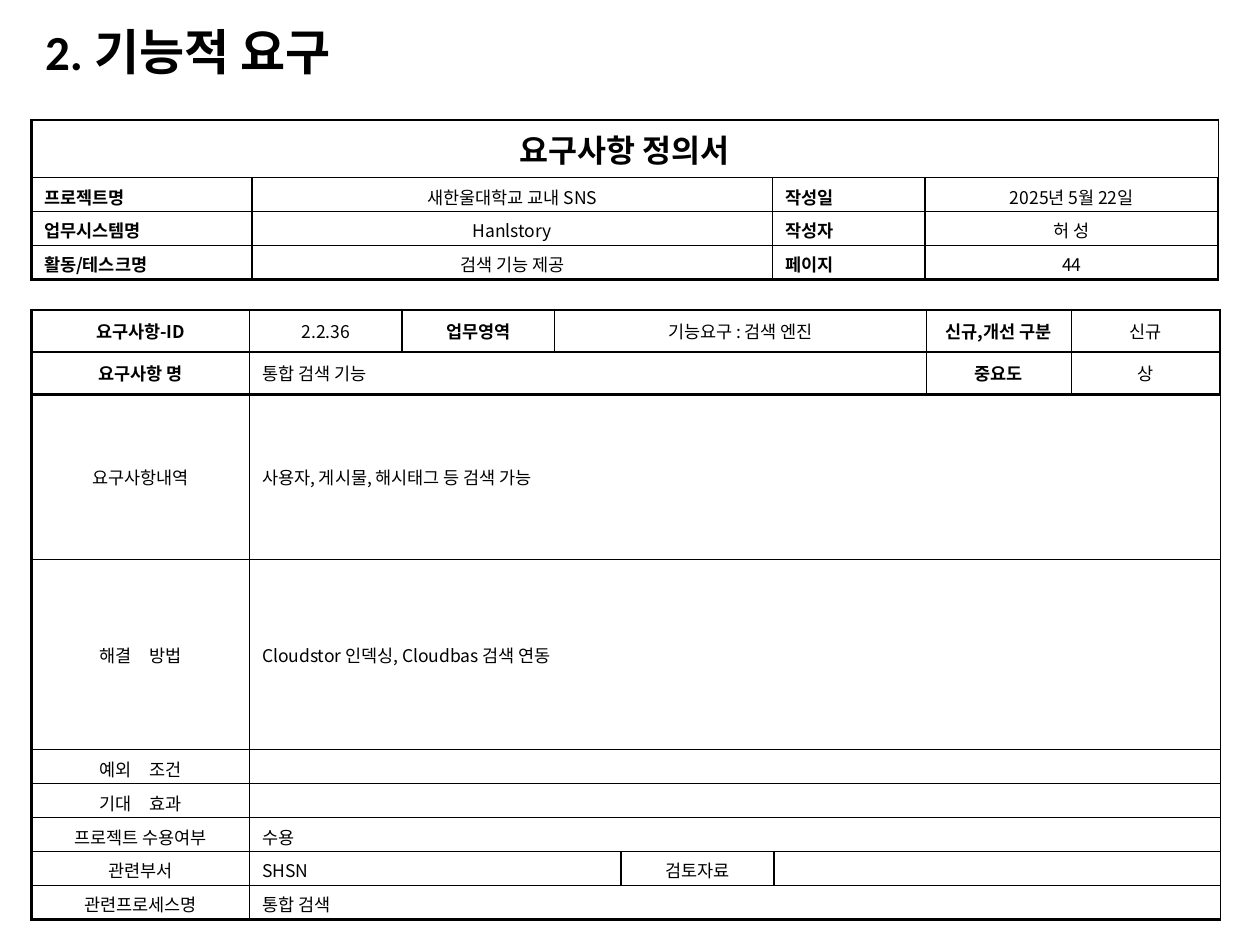
from dataclasses import dataclass

from lxml.etree import SubElement
from pptx import Presentation
from pptx.dml.color import RGBColor
from pptx.enum.text import MSO_ANCHOR, PP_ALIGN
from pptx.oxml.ns import qn
from pptx.util import Pt


@dataclass(frozen=True)
class Theme:
    ink: str = "000000"
    latin: str = "Calibri"
    korean: str = "Noto Sans CJK KR"
    title: float = 28
    heading: float = 18
    body: float = 10
    thick: float = 1.5
    thin: float = 1


THEME = Theme()

# Cell kinds: alignment and bold
KINDS = {
    "head": (PP_ALIGN.CENTER, True),
    "label": (PP_ALIGN.JUSTIFY, True),
    "mid": (PP_ALIGN.CENTER, False),
    "text": (PP_ALIGN.LEFT, False),
}

# Each cell: column span, kind, text
SUMMARY_COLS = [126, 297.5, 87.2, 167.5]
SUMMARY_HEIGHTS = [33.1] + [19.4] * 3
SUMMARY = [[(4, "head", "요구사항 정의서")]] + [
    [(1, "label", a), (1, "mid", b), (1, "label", c), (1, "mid", d)]
    for a, b, c, d in [
        ("프로젝트명", "새한울대학교 교내 SNS", "작성일", "2025년 5월 22일"),
        ("업무시스템명", "Hanlstory", "작성자", "허 성"),
        ("활동/테스크명", "검색 기능 제공", "페이지", "44"),
    ]
]

DETAIL_COLS = [124.6, 87.2, 87.2, 38, 87.2, 87.2, 82.8, 85.2]
DETAIL_HEIGHTS = [24.2, 24.2, 94.3, 108.7] + [19.4] * 5
DETAIL = [
    [(1, "head", "요구사항-ID"), (1, "mid", "2.2.36"), (1, "head", "업무영역"),
     (3, "mid", "기능요구 : 검색 엔진"), (1, "head", "신규,개선 구분"), (1, "mid", "신규")],
    [(1, "head", "요구사항 명"), (5, "text", "통합 검색 기능"),
     (1, "head", "중요도"), (1, "mid", "상")],
    [(1, "mid", "요구사항내역"), (7, "text", "사용자, 게시물, 해시태그 등 검색 가능")],
    [(1, "mid", "해결　방법"), (7, "text", "Cloudstor 인덱싱, Cloudbas 검색 연동")],
    [(1, "mid", "예외　조건"), (7, "text", "")],
    [(1, "mid", "기대　효과"), (7, "text", "")],
    [(1, "mid", "프로젝트 수용여부"), (7, "text", "수용")],
    [(1, "mid", "관련부서"), (3, "text", "SHSN"), (1, "mid", "검토자료"), (3, "text", "")],
    [(1, "mid", "관련프로세스명"), (7, "text", "통합 검색")],
]


def style_paragraph(p, size, bold, align, latin=THEME.korean):
    p.alignment = align
    for r in p.runs:
        r.font.size = Pt(size)
        r.font.bold = bold
        r.font.name = latin
        r.font.color.rgb = RGBColor.from_string(THEME.ink)
        SubElement(r.font._element, qn("a:ea")).set("typeface", THEME.korean)
    if not p.runs:  # keeps an empty row as low as a filled one
        SubElement(p._p, qn("a:endParaRPr")).set("sz", str(size * 100))


def set_borders(cell, widths):
    tc_pr = cell._tc.get_or_add_tcPr()
    for side, width in widths.items():
        ln = SubElement(tc_pr, qn(f"a:ln{side}"), w=str(Pt(width)))
        fill = SubElement(ln, qn("a:solidFill"))
        SubElement(fill, qn("a:srgbClr"), val=THEME.ink)
    cell.fill.background()


def add_title(slide, text):
    s = slide.shapes.add_textbox(Pt(18.7), Pt(15.1), Pt(386), Pt(31.7))
    tf = s.text_frame
    tf.word_wrap = True
    tf.vertical_anchor = MSO_ANCHOR.MIDDLE
    tf.text = text
    p = tf.paragraphs[0]
    p.line_spacing = 0.9
    style_paragraph(p, THEME.title, True, PP_ALIGN.LEFT, THEME.latin)


def add_form(slide, top, cols, heights, rows, thick_below=(), thin_right=()):
    """Draw a form; thick_below and thin_right list rows that break the frame rule."""
    table = slide.shapes.add_table(
        len(rows), len(cols), Pt(18), Pt(top), Pt(sum(cols)), Pt(sum(heights))
    ).table
    table.first_row = table.horz_banding = False
    for column, width in zip(table.columns, cols):
        column.width = Pt(width)
    for row, height in zip(table.rows, heights):
        row.height = Pt(height)

    thick_lines = {0, len(rows), *(i + 1 for i in thick_below)}

    def weight(is_thick):
        return THEME.thick if is_thick else THEME.thin

    for i, row in enumerate(rows):
        start = 0
        for span, kind, text in row:
            end = start + span
            cell = table.cell(i, start)
            if span > 1:
                cell.merge(table.cell(i, end - 1))
            cell.vertical_anchor = MSO_ANCHOR.MIDDLE
            cell.text_frame.text = text
            align, bold = KINDS[kind]
            size = THEME.heading if span == len(cols) else THEME.body
            style_paragraph(cell.text_frame.paragraphs[0], size, bold, align)
            widths = {
                "L": weight(start == 0),
                "R": weight(end == len(cols) and i not in thin_right),
                "T": weight(i in thick_lines),
                "B": weight(i + 1 in thick_lines),
            }
            for j in range(start, end):
                set_borders(table.cell(i, j), widths)
            start = end


def main():
    prs = Presentation()
    prs.slide_width, prs.slide_height = Pt(720), Pt(540)
    slide = prs.slides.add_slide(prs.slide_layouts[6])

    add_title(slide, "2. 기능적 요구")
    # Requirement details
    add_form(slide, 177.1, DETAIL_COLS, DETAIL_HEIGHTS, DETAIL,
             thick_below=(0, 1), thin_right=range(2, len(DETAIL)))
    # Document summary
    add_form(slide, 68.4, SUMMARY_COLS, SUMMARY_HEIGHTS, SUMMARY, thin_right=(0,))

    prs.save("out.pptx")


if __name__ == "__main__":
    main()
